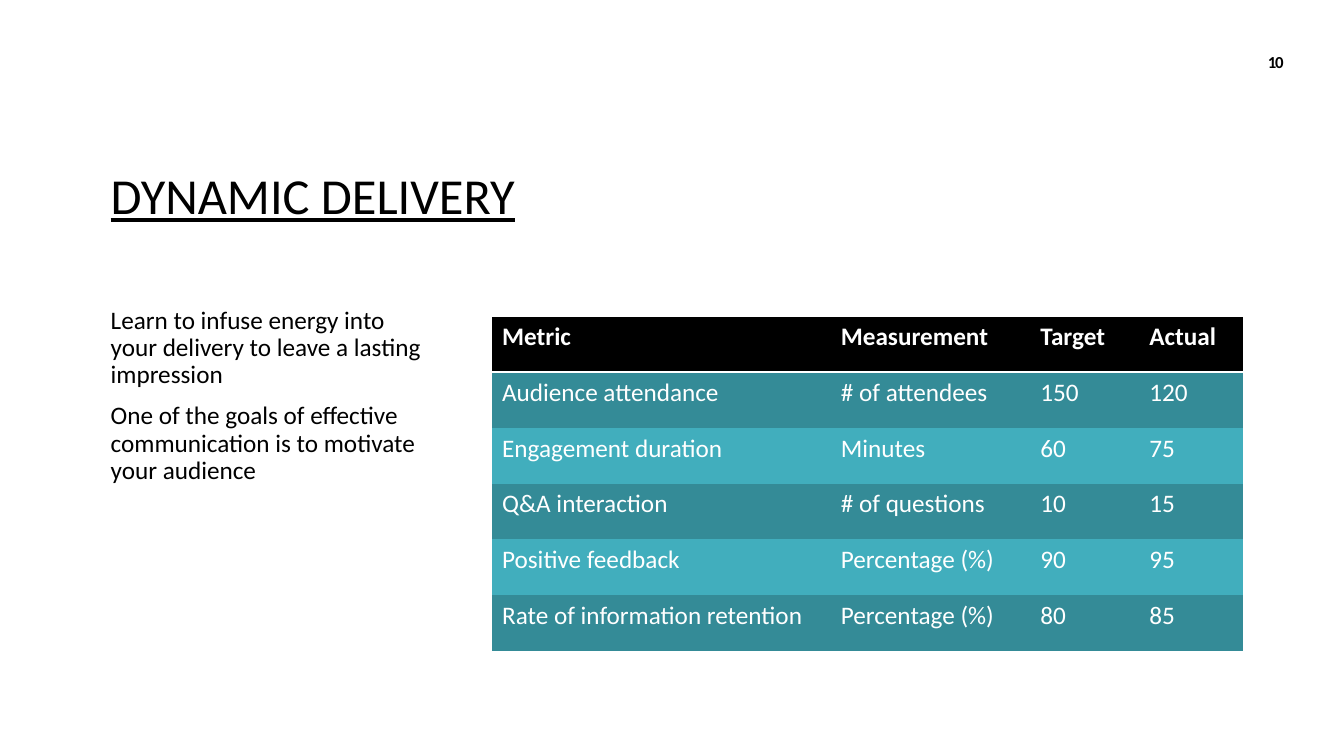
"""Builds the "Dynamic delivery" slide with its metrics table."""
import lxml.etree
import pptx
import pptx.dml.color
import pptx.enum.text
import pptx.oxml.ns
import pptx.util

BLACK = pptx.dml.color.RGBColor(0x00, 0x00, 0x00)
WHITE = pptx.dml.color.RGBColor(0xFF, 0xFF, 0xFF)
DARK_TEAL = pptx.dml.color.RGBColor(0x34, 0x8B, 0x97)
LIGHT_TEAL = pptx.dml.color.RGBColor(0x41, 0xAE, 0xBD)

EMU_PER_PX = 9144
PLAIN_TABLE_STYLE = "{2D5ABB26-0587-4C30-8999-92F81FD0307C}"

COLUMN_WIDTHS = [336, 198, 108, 103]
ROW_HEIGHT = 55.3
METRICS = [
    ["Metric", "Measurement", "Target", "Actual"],
    ["Audience attendance", "# of attendees", "150", "120"],
    ["Engagement duration", "Minutes", "60", "75"],
    ["Q&A interaction", "# of questions", "10", "15"],
    ["Positive feedback", "Percentage (%)", "90", "95"],
    ["Rate of information retention", "Percentage (%)", "80", "85"],
]
ADVICE = [
    "Learn to infuse energy into your delivery to leave a lasting impression",
    "One of the goals of effective communication is to motivate your audience",
]


def px(length):
    return pptx.util.Emu(round(length * EMU_PER_PX))


class SlideBuilder:
    """Holds the font and the current slide, and adds elements to it."""

    def __init__(self, slide, font_name):
        self.slide = slide
        self.font_name = font_name

    def format_runs(self, paragraph, size, color, bold=False, underline=False, spacing=None):
        for run in paragraph.runs:
            run.font.name = self.font_name
            run.font.size = pptx.util.Pt(size)
            run.font.color.rgb = color
            run.font.bold = bold
            run.font.underline = underline
            if spacing is not None:
                run.font._element.set("spc", str(round(spacing * 100)))

    def add_text(self, box, lines, size, anchor=pptx.enum.text.MSO_ANCHOR.TOP,
                 alignment=pptx.enum.text.PP_ALIGN.LEFT, line_spacing=1.0,
                 space_before=0, margin_top=5, **font_options):
        shape = self.slide.shapes.add_textbox(*map(px, box))
        text_frame = shape.text_frame
        text_frame.word_wrap = True
        text_frame.vertical_anchor = anchor
        text_frame.margin_top = px(margin_top)
        text_frame.text = "\n".join(lines)
        for paragraph in text_frame.paragraphs:
            paragraph.alignment = alignment
            paragraph.line_spacing = line_spacing
            paragraph.space_before = pptx.util.Pt(space_before)
            self.format_runs(paragraph, size, BLACK, **font_options)

    def add_bottom_border(self, cell, color, width):
        properties = cell._tc.get_or_add_tcPr()
        line = lxml.etree.Element(pptx.oxml.ns.qn("a:lnB"), w=str(pptx.util.Pt(width)))
        fill = lxml.etree.SubElement(line, pptx.oxml.ns.qn("a:solidFill"))
        lxml.etree.SubElement(fill, pptx.oxml.ns.qn("a:srgbClr"), val=str(color))
        properties.insert(0, line)

    def add_table(self, left, top, column_widths, row_height, rows, size):
        frame = self.slide.shapes.add_table(
            len(rows), len(column_widths), px(left), px(top),
            px(sum(column_widths)), px(row_height * len(rows)))
        table = frame.table
        table.horz_banding = False
        style = table._tbl.tblPr.find(pptx.oxml.ns.qn("a:tableStyleId"))
        style.text = PLAIN_TABLE_STYLE
        for column, width in zip(table.columns, column_widths):
            column.width = px(width)
        for row_index, (row, values) in enumerate(zip(table.rows, rows)):
            row.height = px(row_height)
            is_header = row_index == 0
            band = DARK_TEAL if row_index % 2 else LIGHT_TEAL
            for cell, value in zip(row.cells, values):
                cell.text_frame.text = value
                self.format_runs(cell.text_frame.paragraphs[0], size, WHITE, bold=is_header)
                cell.fill.solid()
                cell.fill.fore_color.rgb = BLACK if is_header else band
                if is_header:
                    self.add_bottom_border(cell, WHITE, 2)


def main():
    presentation = pptx.Presentation()
    presentation.slide_width = px(1333)
    presentation.slide_height = px(750)
    slide = presentation.slides.add_slide(presentation.slide_layouts[6])
    builder = SlideBuilder(slide, "Calibri")
    builder.add_text((100, 100, 1133, 129), ["DYNAMIC DELIVERY"], 36, line_spacing=0.9,
                     anchor=pptx.enum.text.MSO_ANCHOR.BOTTOM, underline=True)
    builder.add_text((1165, 51, 118, 49), ["10"], 12, margin_top=0, bold=True, spacing=-0.8,
                     alignment=pptx.enum.text.PP_ALIGN.RIGHT)
    builder.add_text((100, 300, 330, 346), ADVICE, 18, line_spacing=0.9, space_before=10)
    builder.add_table(488, 314, COLUMN_WIDTHS, ROW_HEIGHT, METRICS, 18)
    presentation.save("out.pptx")


if __name__ == "__main__":
    main()
